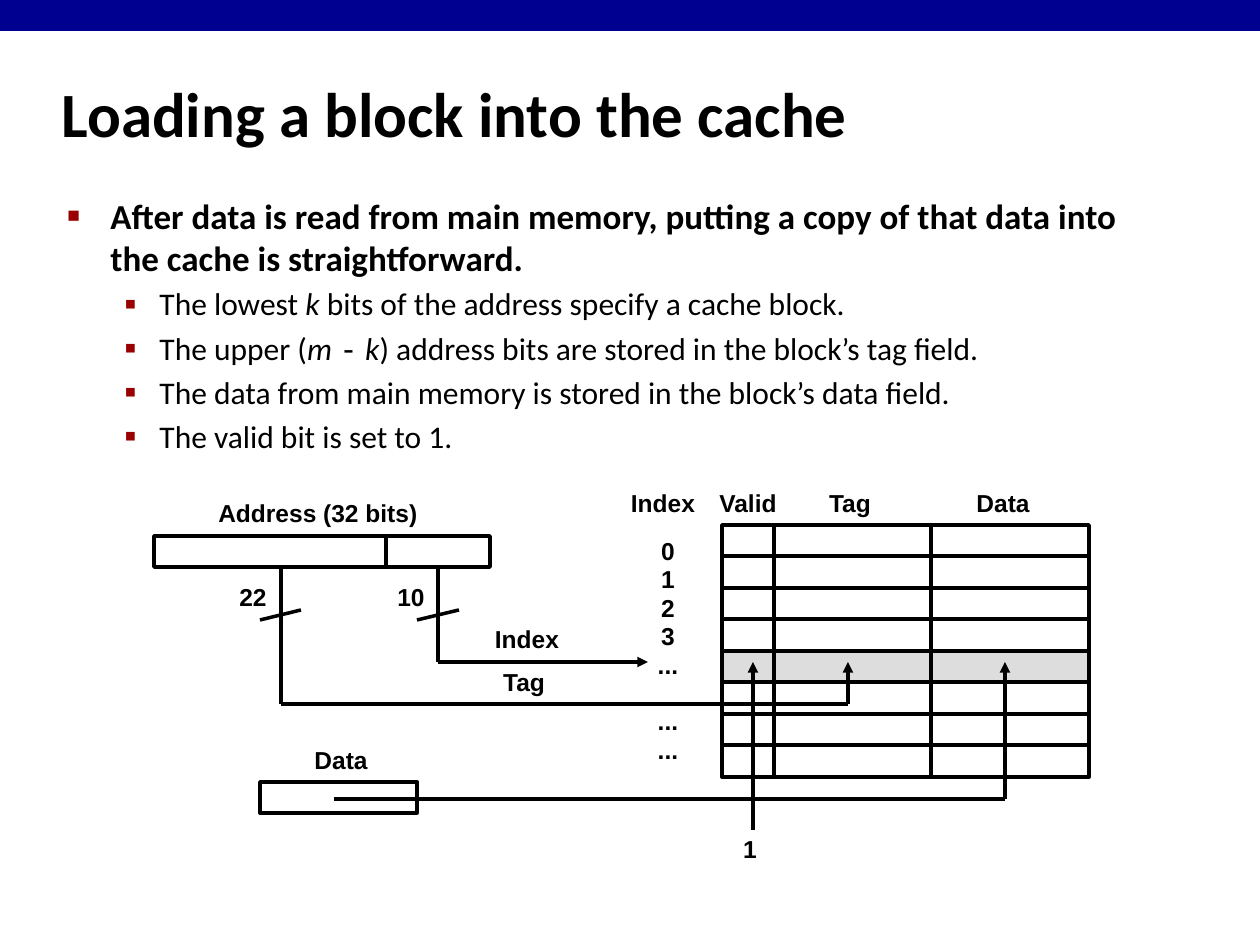
from lxml.etree import SubElement
from pptx import Presentation
from pptx.dml.color import RGBColor
from pptx.enum.shapes import MSO_CONNECTOR, MSO_SHAPE
from pptx.enum.text import MSO_ANCHOR, MSO_AUTO_SIZE, PP_ALIGN
from pptx.oxml.ns import qn
from pptx.util import Pt

PX_PER_INCH = 126
BLACK = RGBColor(0x00, 0x00, 0x00)
NAVY = RGBColor(0x00, 0x00, 0x90)
DARK_RED = RGBColor(0x99, 0x00, 0x00)
GREY = RGBColor(0xDD, 0xDD, 0xDD)

BULLETS = [
    (0, [("After data is read from main memory, putting a copy of that data "
          "into the cache is straightforward.", "plain")]),
    (1, [("The lowest ", "plain"), ("k", "italic"),
         (" bits of the address specify a cache block.", "plain")]),
    (1, [("The upper (", "plain"), ("m ", "italic"), ("-", "mono"), (" k", "italic"),
         (") address bits are stored in the block’s tag field.", "plain")]),
    (1, [("The data from main memory is stored in the block’s data field.", "plain")]),
    (1, [("The valid bit is set to 1.", "plain")]),
]
BULLET_LEVELS = [
    {"margin": 43, "hang": 43, "mark": "■", "percent": 60, "size": 20},
    {"margin": 92, "hang": 35, "mark": "▪", "percent": 110, "size": 18},
]
INDEX_ROWS = ["0", "1", "2", "3", "...", "...", "..."]
ROW_GAP, SKIPPED_ROW_GAP = Pt(1.1), Pt(17.3)
SKIPPED_BEFORE = 5

CACHE_COLUMNS = [722, 774, 931, 1089]
CACHE_TOP, CACHE_HEIGHT, CACHE_ROWS, LOADED_ROW = 525, 252, 8, 4

LABELS = [
    ("Index", 663, 485, 93), ("Valid", 748, 485, 86),
    ("Tag", 850, 485, 71), ("Data", 1003, 485, 82),
    ("Address (32 bits)", 318, 495, 228),
    ("22", 253, 579, 55), ("10", 411, 579, 55),
    ("Index", 527, 621, 93), ("Tag", 524, 664, 71),
    ("Data", 341, 742, 82), ("1", 750, 831, 42),
]
WIRES = [
    ((281, 567), (281, 704)), ((281, 704), (848, 704)),
    ((417, 620), (459, 610)), ((260, 620), (301, 610)),
    ((334, 799), (1005, 799)),
]
ARROWS = [
    ((438, 662), (648, 662)), ((848, 704), (848, 662)),
    ((1005, 799), (1005, 662)), ((753, 830), (753, 662)),
]


def px(length):
    return round(length * 914400 / PX_PER_INCH)


def format_font(font, size, name, bold=False, italic=False):
    font.size = Pt(size)
    font.name = name
    font.bold = bold
    font.italic = italic
    font.color.rgb = BLACK


def add_box(slide, left, top, width, height, fill=None, outlined=True):
    box = slide.shapes.add_shape(
        MSO_SHAPE.RECTANGLE, px(left), px(top), px(width), px(height))
    box.shadow.inherit = False
    if fill is None:
        box.fill.background()
    else:
        box.fill.solid()
        box.fill.fore_color.rgb = fill
    if outlined:
        box.line.color.rgb = BLACK
        box.line.width = Pt(2)
    else:
        box.line.fill.background()
    return box


def add_wire(slide, start, end, arrow=False):
    wire = slide.shapes.add_connector(
        MSO_CONNECTOR.STRAIGHT, *(px(value) for value in start + end))
    wire.line.color.rgb = BLACK
    wire.line.width = Pt(2)
    if arrow:
        SubElement(wire.line._get_or_add_ln(), qn("a:tailEnd"), type="triangle")
    SubElement(wire._element.spPr, qn("a:effectLst"))
    return wire


def add_label(slide, text, center, top, width, height=40):
    label = slide.shapes.add_textbox(
        px(center - width / 2), px(top), px(width), px(height))
    frame = label.text_frame
    frame.word_wrap = False
    frame.vertical_anchor = MSO_ANCHOR.MIDDLE
    frame.margin_left = frame.margin_right = px(8)
    frame.margin_top = frame.margin_bottom = px(8)
    frame.text = text
    for paragraph in frame.paragraphs:
        paragraph.alignment = PP_ALIGN.CENTER
        paragraph.line_spacing = 0.9
        format_font(paragraph.runs[0].font, 14, "Arial", bold=True)
    return label


def add_index_column(slide):
    column = add_label(slide, "\n".join(INDEX_ROWS), 668, 530, 49, 244)
    for row, paragraph in enumerate(column.text_frame.paragraphs):
        if row:
            paragraph.space_before = SKIPPED_ROW_GAP if row == SKIPPED_BEFORE else ROW_GAP


def add_bullet(paragraph, level):
    properties = paragraph._p.get_or_add_pPr()
    properties.set("marL", str(px(level["margin"])))
    properties.set("indent", str(-px(level["hang"])))
    color = SubElement(properties, qn("a:buClr"))
    SubElement(color, qn("a:srgbClr"), val=str(DARK_RED))
    SubElement(properties, qn("a:buSzPct"), val=str(level["percent"] * 1000))
    SubElement(properties, qn("a:buFont"), typeface="Arial")
    SubElement(properties, qn("a:buChar"), char=level["mark"])


def add_bullets(slide):
    body = slide.shapes.add_textbox(px(55), px(188), px(1089), px(290))
    frame = body.text_frame
    frame.word_wrap = True
    for number, (depth, pieces) in enumerate(BULLETS):
        paragraph = frame.add_paragraph() if number else frame.paragraphs[0]
        level = BULLET_LEVELS[depth]
        paragraph.level = depth
        add_bullet(paragraph, level)
        if number:
            paragraph.space_before = Pt(3.6)
        for text, style in pieces:
            run = paragraph.add_run()
            run.text = text
            name = "DejaVu Sans Mono" if style == "mono" else "Calibri"
            format_font(run.font, level["size"], name, depth == 0, style == "italic")


def set_title(slide):
    title = slide.shapes.title
    title.left, title.top, title.width, title.height = px(49), px(60), px(1046), px(105)
    frame = title.text_frame
    frame.text = "Loading a block into the cache"
    frame.auto_size = MSO_AUTO_SIZE.NONE
    frame.vertical_anchor = MSO_ANCHOR.MIDDLE
    frame.paragraphs[0].alignment = PP_ALIGN.LEFT
    format_font(frame.paragraphs[0].runs[0].font, 36, "Calibri", bold=True)


def add_cache(slide):
    edges = [CACHE_TOP + CACHE_HEIGHT * row // CACHE_ROWS for row in range(CACHE_ROWS + 1)]
    for row, (top, bottom) in enumerate(zip(edges, edges[1:])):
        fill = GREY if row == LOADED_ROW else None
        for left, right in zip(CACHE_COLUMNS, CACHE_COLUMNS[1:]):
            add_box(slide, left, top, right - left, bottom - top, fill)


def main():
    presentation = Presentation()
    presentation.slide_width, presentation.slide_height = px(1260), px(945)
    slide = presentation.slides.add_slide(presentation.slide_layouts[5])
    add_box(slide, 0, 0, 1260, 31, NAVY, outlined=False)
    set_title(slide)
    add_bullets(slide)
    add_cache(slide)
    add_index_column(slide)
    add_box(slide, 154, 536, 232, 31)
    address_index = add_box(slide, 386, 536, 104, 31)
    add_box(slide, 260, 782, 157, 31)
    index_wire = add_wire(slide, (438, 567), (438, 662))
    index_wire.begin_connect(address_index, 2)
    for start, end in WIRES:
        add_wire(slide, start, end)
    for start, end in ARROWS:
        add_wire(slide, start, end, arrow=True)
    for label in LABELS:
        add_label(slide, *label)
    presentation.save("out.pptx")


if __name__ == "__main__":
    main()
